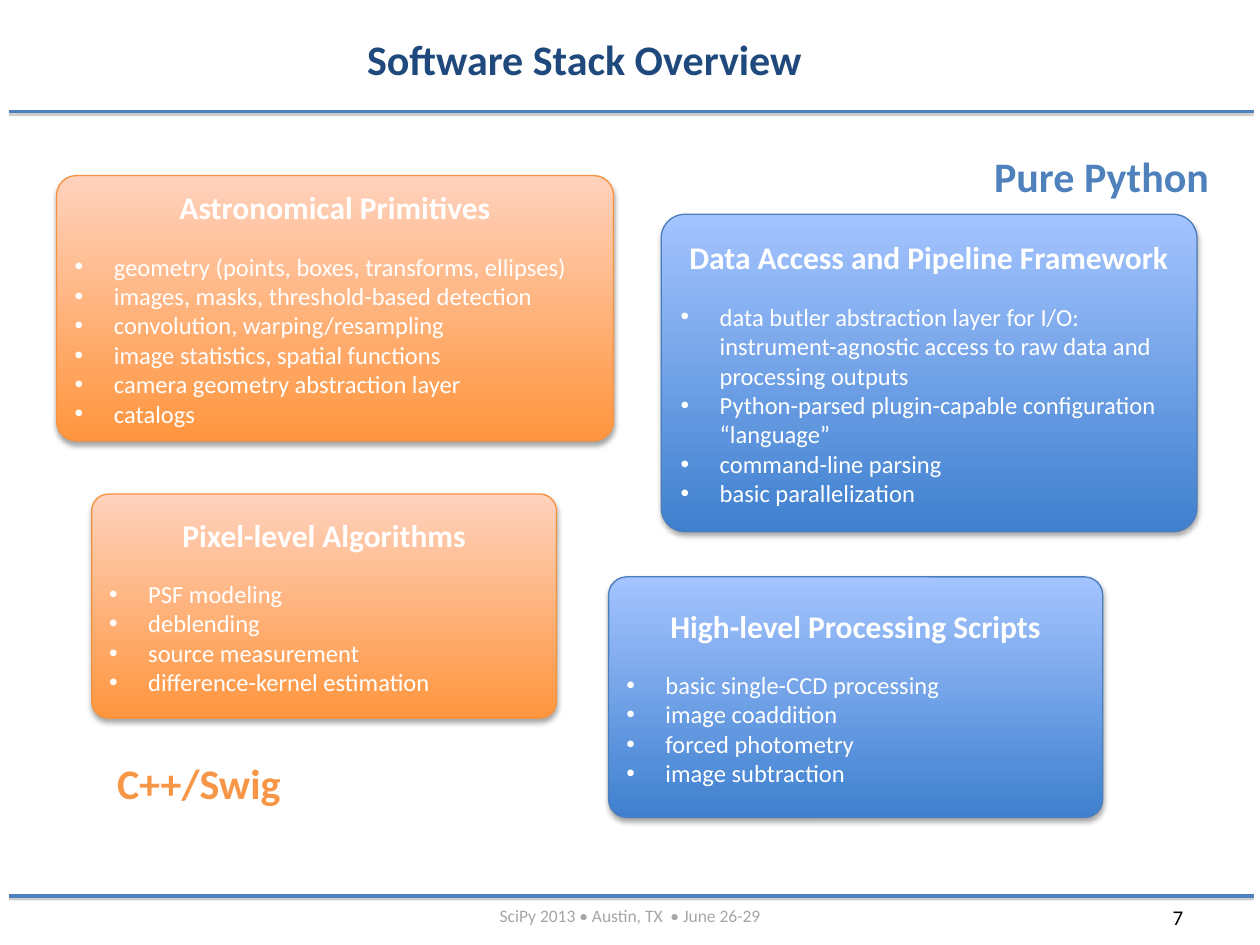
from dataclasses import dataclass

from lxml import etree
from pptx import Presentation
from pptx import util as u
from pptx.dml.color import RGBColor
from pptx.enum import shapes, text
from pptx.oxml import ns

Cm, Pt = u.Cm, u.Pt
Align, Anchor = text.PP_ALIGN, text.MSO_ANCHOR


@dataclass(frozen=True)
class Palette:
    bottom: str
    top: str
    edge: str
    label: str


@dataclass(frozen=True)
class Theme:
    font: str = "Calibri"
    title: str = "1F497D"
    rule: str = "4F81BD"
    rule_shadow: str = "808080"
    card_shadow: str = "000000"
    card_text: str = "FFFFFF"
    footer: str = "A6A6A6"
    number: str = "000000"
    orange: Palette = Palette("FF953E", "FFD2BD", "F69240", "F79646")
    blue: Palette = Palette("3F80CE", "A4C4FF", "4B7EBC", "4F81BD")
    title_size: int = 24
    heading_size: int = 18
    bullet_size: int = 14
    number_size: int = 12
    footer_size: int = 10


THEME = Theme()

CARDS = [
    ((1.14, 3.54, 11.23, 5.35), THEME.orange, "Astronomical Primitives", [
        "geometry (points, boxes, transforms, ellipses)",
        "images, masks, threshold-based detection",
        "convolution, warping/resampling",
        "image statistics, spatial functions",
        "camera geometry abstraction layer",
        "catalogs",
    ]),
    ((13.33, 4.32, 10.8, 6.4), THEME.blue, "Data Access and Pipeline Framework", [
        "data butler abstraction layer for I/O: instrument-agnostic access "
        "to raw data and processing outputs",
        "Python-parsed plugin-capable configuration “language”",
        "command-line parsing",
        "basic parallelization",
    ]),
    ((1.85, 9.96, 9.37, 4.52), THEME.orange, "Pixel-level Algorithms", [
        "PSF modeling",
        "deblending",
        "source measurement",
        "difference-kernel estimation",
    ]),
    ((12.27, 11.63, 9.96, 4.85), THEME.blue, "High-level Processing Scripts", [
        "basic single-CCD processing",
        "image coaddition",
        "forced photometry",
        "image subtraction",
    ]),
]


def lengths(box):
    return [Cm(value) for value in box]


def rgb(color):
    return RGBColor.from_string(color)


def style(para, size, color, bold=False, align=Align.LEFT):
    para.alignment = align
    font = para.font
    font.name, font.size, font.bold = THEME.font, Pt(size), bold
    font.color.rgb = rgb(color)


def cast_shadow(item, color, opacity, blur, distance):
    effects = etree.SubElement(item.element.spPr, ns.qn("a:effectLst"))
    shadow = etree.SubElement(
        effects, ns.qn("a:outerShdw"), blurRad=str(Pt(blur)),
        dist=str(Pt(distance)), dir="5400000", rotWithShape="0")
    tint = etree.SubElement(shadow, ns.qn("a:srgbClr"), val=color)
    etree.SubElement(tint, ns.qn("a:alpha"), val=str(opacity * 1000))


def add_bullet(para):
    props = para._p.get_or_add_pPr()
    props.set("marL", str(Cm(0.79)))
    props.set("indent", str(-Cm(0.79)))
    etree.SubElement(props, ns.qn("a:buFont"), typeface="Arial")
    etree.SubElement(props, ns.qn("a:buChar"), char="•")


def add_title(page, box, words):
    title = page.shapes.title
    title.left, title.top, title.width, title.height = lengths(box)
    frame = title.text_frame
    frame.text = words
    frame.vertical_anchor = Anchor.MIDDLE
    style(frame.paragraphs[0], THEME.title_size, THEME.title, True, Align.CENTER)


def add_rule(page, left, right, top):
    rule = page.shapes.add_connector(
        shapes.MSO_CONNECTOR.STRAIGHT, *lengths((left, top, right, top)))
    rule.line.color.rgb = rgb(THEME.rule)
    rule.line.width = Pt(2)
    cast_shadow(rule, THEME.rule_shadow, 38, 0, 1.6)


def add_label(page, box, words, size, color, bold=False, align=Align.LEFT, wrap=True):
    label = page.shapes.add_textbox(*lengths(box))
    frame = label.text_frame
    frame.word_wrap = wrap
    frame.text = words
    style(frame.paragraphs[0], size, color, bold, align)


def add_card(page, box, palette, heading, bullets):
    card = page.shapes.add_shape(shapes.MSO_SHAPE.ROUNDED_RECTANGLE, *lengths(box))
    card.adjustments[0] = 0.075
    card.fill.gradient()
    card.fill.gradient_angle = 90
    for stop, color in zip(card.fill.gradient_stops, (palette.bottom, palette.top)):
        stop.color.rgb = rgb(color)
    card.line.color.rgb = rgb(palette.edge)
    card.line.width = Pt(0.75)
    cast_shadow(card, THEME.card_shadow, 35, 3.1, 1.8)

    frame = card.text_frame
    frame.word_wrap = True
    frame.vertical_anchor = Anchor.MIDDLE
    frame.text = heading
    para = frame.paragraphs[0]
    style(para, THEME.heading_size, THEME.card_text, True, Align.CENTER)
    para.space_after = Pt(14.6)
    for words in bullets:
        para = frame.add_paragraph()
        para.text = words
        style(para, THEME.bullet_size, THEME.card_text)
        add_bullet(para)


def add_footer(page, box):
    left, top, width, height = box
    add_label(page, (left + 22.12, top, 1.57, 0.76), "7",
              THEME.number_size, THEME.number)
    add_label(page, (left, top, width, height), "SciPy 2013 • Austin, TX  • June 26-29",
              THEME.footer_size, THEME.footer, align=Align.CENTER)


def main():
    deck = Presentation()
    deck.slide_width, deck.slide_height = Cm(25.4), Cm(19.05)
    page = deck.slides.add_slide(deck.slide_layouts[5])

    for top in (2.25, 18.06):
        add_rule(page, 0.18, 25.27, top)
    add_footer(page, (1.27, 18.11, 22.86, 0.69))
    add_title(page, (3.18, 0.41, 17.2, 1.55), "Software Stack Overview")
    for card in CARDS:
        add_card(page, *card)
    for box, words, palette in (
        ((2.11, 15.14, 3.86, 1.27), "C++/Swig", THEME.orange),
        ((19.79, 2.9, 4.88, 1.27), "Pure Python", THEME.blue),
    ):
        add_label(page, box, words, THEME.title_size, palette.label, True, wrap=False)

    deck.save("out.pptx")


if __name__ == "__main__":
    main()
